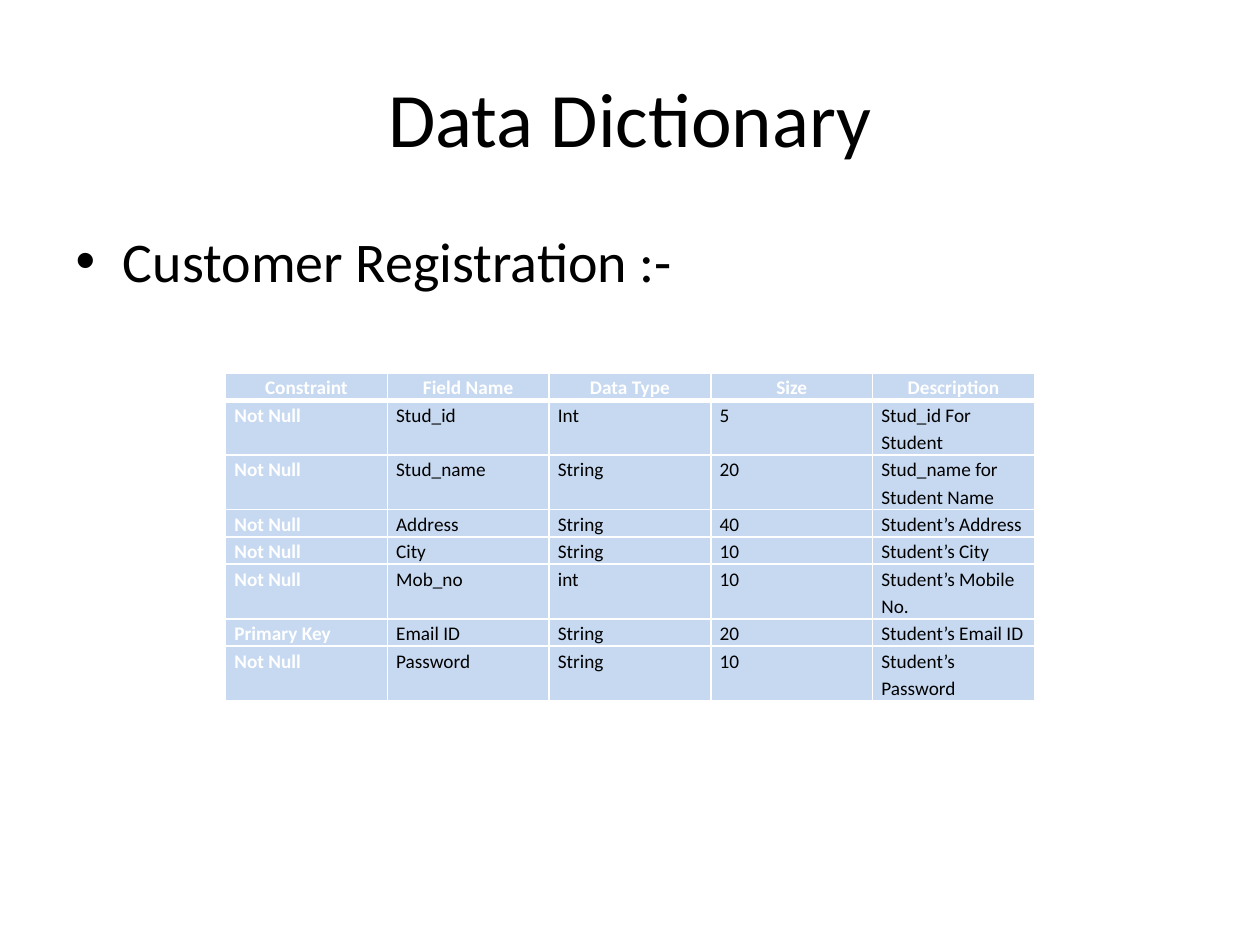
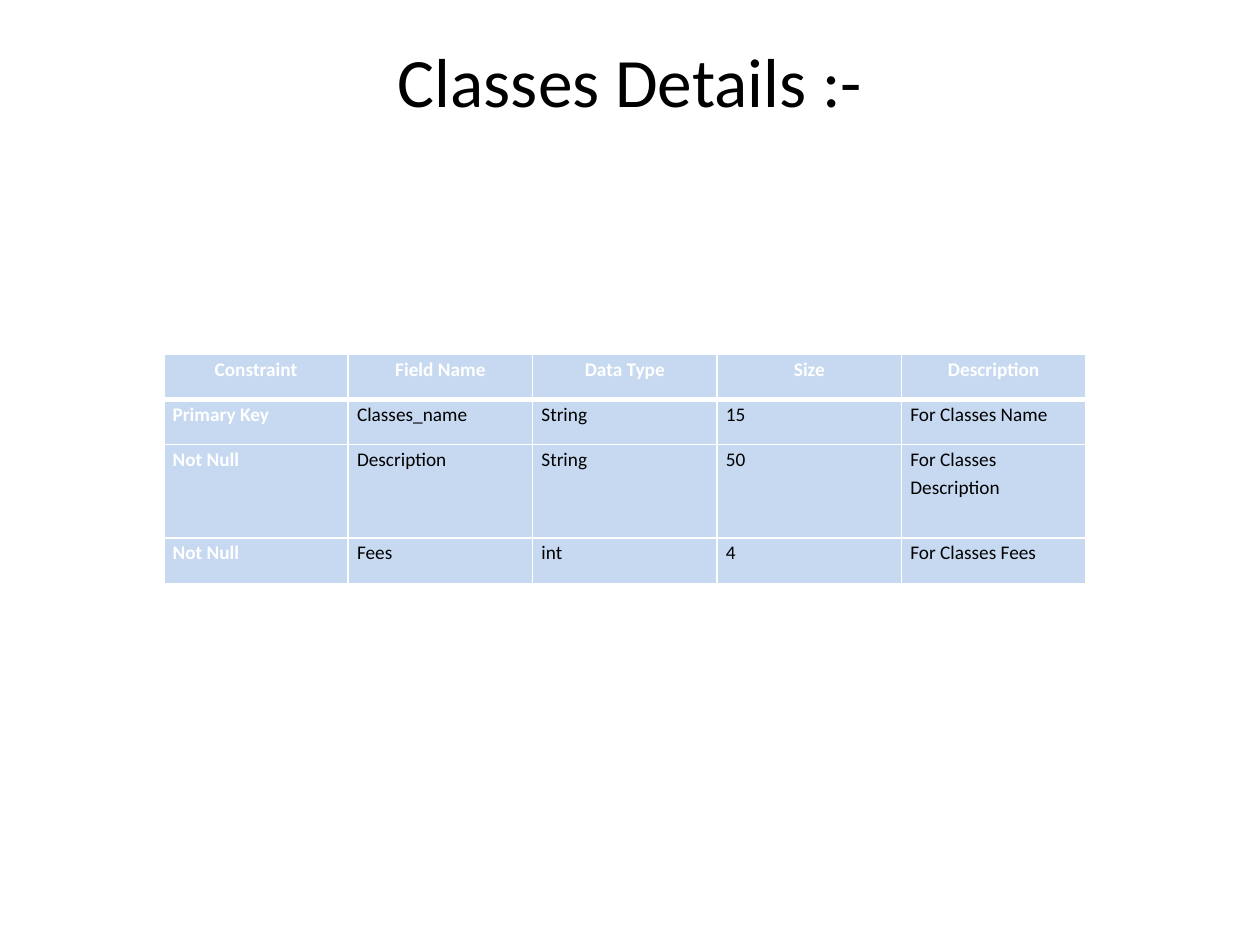
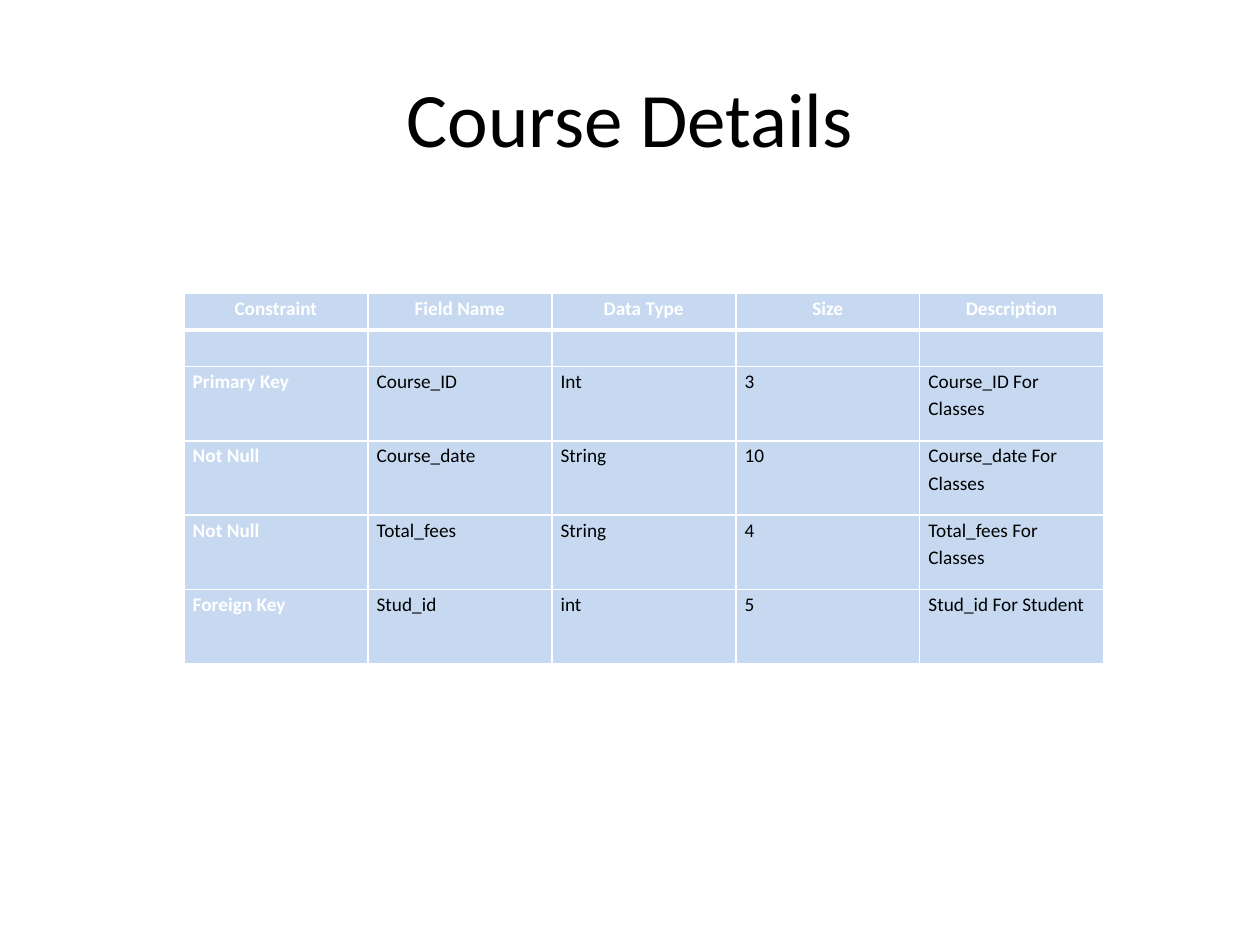
from lxml import etree
from pptx import Presentation
from pptx import util as u
from pptx.dml.color import RGBColor
from pptx.enum import text as t
from pptx.oxml.ns import qn

WHITE = RGBColor(0xFF, 0xFF, 0xFF)
BLACK = RGBColor(0, 0, 0)
BLUE = RGBColor(0xC6, 0xD9, 0xF1)
FONT = "Calibri"
SMALL = 11
WIDE, HIGH = 10, 7.5
LINE = 0.21
HEAD = ("Constraint", "Field Name", "Data Type", "Size", "Description")

SLIDES = [
    dict(
        title="Data Dictionary",
        body="Customer Registration :-",
        at=(1.79, 2.96), wide=6.42,
        highs=[LINE * n for n in (1, 2, 2, 1, 1, 2, 1, 2)],
        rows=[
            ("Not Null", "Stud_id", "Int", "5", "Stud_id For Student"),
            ("Not Null", "Stud_name", "String", "20", "Stud_name for Student Name"),
            ("Not Null", "Address", "String", "40", "Student’s Address"),
            ("Not Null", "City", "String", "10", "Student’s City"),
            ("Not Null", "Mob_no", "int", "10", "Student’s Mobile No."),
            ("Primary Key", "Email ID", "String", "20", "Student’s Email ID"),
            ("Not Null", "Password", "String", "10", "Student’s Password"),
        ],
    ),
    dict(
        title="Classes Details :-", size=39.6, top=True,
        at=(1.3, 2.81), wide=7.32,
        highs=[0.36, 0.36, 0.74, 0.36],
        rows=[
            ("Primary Key", "Classes_name", "String", "15", "For Classes Name"),
            ("Not Null", "Description", "String", "50", "For Classes Description"),
            ("Not Null", "Fees", "int", "4", "For Classes Fees"),
        ],
    ),
    dict(
        title="Course Details",
        at=(1.46, 2.33), wide=7.3,
        highs=[0.29] * 2 + [0.59] * 4,
        rows=[
            ("",) * len(HEAD),
            ("Primary Key", "Course_ID", "Int", "3", "Course_ID For Classes"),
            ("Not Null", "Course_date", "String", "10", "Course_date For\nClasses"),
            ("Not Null", "Total_fees", "String", "4", "Total_fees For Classes"),
            ("Foreign Key", "Stud_id", "int", "5", "Stud_id For Student"),
        ],
    ),
]


def write(frame, words, size=SMALL, color=BLACK, bold=False, align=None, lead=None):
    frame.text = words
    for para in frame.paragraphs:
        para.alignment = align
        para.line_spacing = lead
        for run in para.runs:
            font = run.font
            font.name, font.size, font.bold = FONT, u.Pt(size), bold
            font.color.rgb = color
        if not para.runs:
            para._p.get_or_add_endParaRPr().set("sz", str(size * 100))


def edge(cell, **widths):
    props = cell._tc.get_or_add_tcPr()
    for spot, side in enumerate("LRTB"):
        line = etree.Element(qn("a:ln" + side), w=str(u.Pt(widths.get(side, 1))))
        fill = etree.SubElement(line, qn("a:solidFill"))
        etree.SubElement(fill, qn("a:srgbClr"), val=str(WHITE))
        props.insert(spot, line)


def grid(slide, rows, at, wide, highs):
    left, top = at
    table = slide.shapes.add_table(
        len(rows), len(HEAD), u.Inches(left), u.Inches(top),
        u.Inches(wide), u.Inches(sum(highs))).table
    table.horz_banding = False
    for col in table.columns:
        col.width = u.Inches(wide / len(HEAD))
    for r, (row, high) in enumerate(zip(rows, highs)):
        table.rows[r].height = u.Inches(high)
        for c, words in enumerate(row):
            cell = table.cell(r, c)
            cell.margin_left = cell.margin_right = u.Inches(0.07)
            cell.margin_top = cell.margin_bottom = 0
            cell.fill.solid()
            cell.fill.fore_color.rgb = BLUE
            edge(cell, T=3 if r == 1 else 1, B=3 if r == 0 else 1)
            key = r == 0 or c == 0
            write(cell.text_frame, words, color=WHITE if key else BLACK, bold=key,
                  align=t.PP_ALIGN.CENTER if r == 0 else None, lead=1.15)


def build(deck, page):
    body = page.get("body")
    slide = deck.slides.add_slide(deck.slide_layouts[1 if body else 5])
    title = slide.shapes.title
    title.left, title.top = u.Inches(WIDE * 0.05), u.Inches(HIGH * 0.04)
    title.width, title.height = u.Inches(WIDE * 0.9), u.Inches(1.25)
    frame = title.text_frame
    write(frame, page["title"], size=page.get("size", 44), align=t.PP_ALIGN.CENTER)
    frame.vertical_anchor = t.MSO_ANCHOR.MIDDLE
    if page.get("top"):
        frame.vertical_anchor = t.MSO_ANCHOR.TOP
        frame.margin_top = 0
    if body:
        write(slide.placeholders[1].text_frame, body, size=32)
    grid(slide, [HEAD] + page["rows"], page["at"], page["wide"], page["highs"])


def main():
    deck = Presentation()
    deck.slide_width, deck.slide_height = u.Inches(WIDE), u.Inches(HIGH)
    for page in SLIDES:
        build(deck, page)
    deck.save("out.pptx")


if __name__ == "__main__":
    main()
